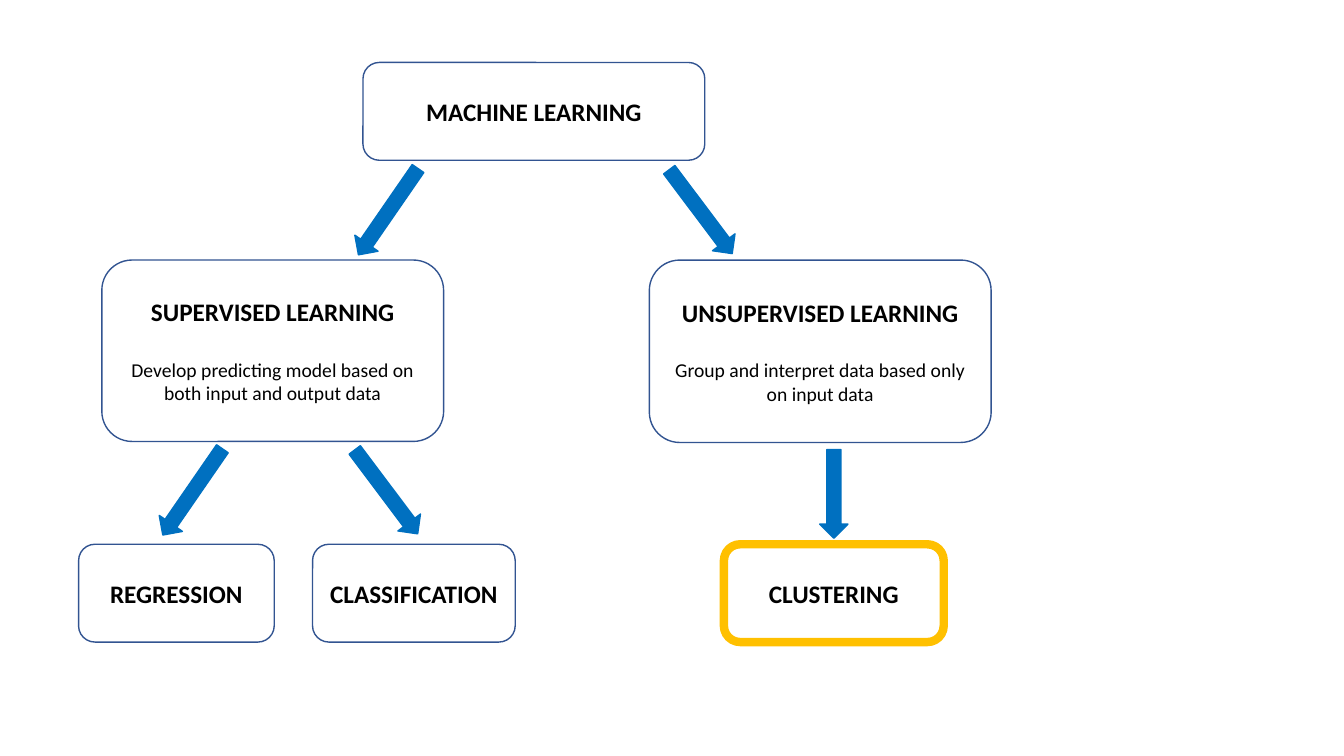
from dataclasses import dataclass

from pptx import Presentation
from pptx import util as u
from pptx.dml.color import RGBColor
from pptx.enum import shapes, text

PX = 9144  # EMU per px, 100 px to the inch


@dataclass(frozen=True)
class Theme:
    font: str = "Calibri"
    ink: str = "000000"
    edge: str = "325491"
    arrow: str = "0070C0"
    mark: str = "FFC000"
    head: int = 18
    body: int = 14
    gap: int = 22
    thin: int = 1
    thick: int = 6


def put(obj, vals):
    for name, val in vals.items():
        setattr(obj, name, val)


class Chart:
    def __init__(self, deck, theme):
        self.theme = theme
        self.slide = deck.slides.add_slide(deck.slide_layouts[6])

    def shape(self, kind, area, color, width):
        item = self.slide.shapes.add_shape(kind, *(n * PX for n in area))
        item.shadow.inherit = False
        item.line.color.rgb = RGBColor.from_string(color)
        item.line.width = u.Pt(width)
        return item

    def label(self, par, words, size, bold):
        par.alignment = text.PP_ALIGN.CENTER
        run = par.add_run()
        run.text = words
        put(run.font, {"name": self.theme.font, "size": u.Pt(size), "bold": bold})
        run.font.color.rgb = RGBColor.from_string(self.theme.ink)

    def box(self, area, title, note=None, marked=False):
        t = self.theme
        edge, width = (t.mark, t.thick) if marked else (t.edge, t.thin)
        item = self.shape(shapes.MSO_SHAPE.ROUNDED_RECTANGLE, area, edge, width)
        item.fill.background()
        frame = item.text_frame
        put(frame, {"word_wrap": True, "vertical_anchor": text.MSO_ANCHOR.MIDDLE})
        self.label(frame.paragraphs[0], title, t.head, True)
        if note:
            par = frame.add_paragraph()
            par.space_before = u.Pt(t.gap)
            self.label(par, note, t.body, False)

    def arrow(self, left, top, turn, length=104):
        """Draw a block arrow, given its place before it is turned."""
        color = self.theme.arrow
        area = (left, top, length, 28)
        item = self.shape(shapes.MSO_SHAPE.RIGHT_ARROW, area, color, self.theme.thin)
        item.fill.solid()
        item.fill.fore_color.rgb = RGBColor.from_string(color)
        item.rotation = turn


def main():
    deck = Presentation()
    put(deck, {"slide_width": 1333 * PX, "slide_height": 750 * PX})
    tree = Chart(deck, Theme())

    wide, low = 339, 97
    tree.box((360, 62, wide, low), "MACHINE LEARNING")
    tree.box((101, 258, wide, 180), "SUPERVISED LEARNING",
             "Develop predicting model based on both input and output data")
    tree.box((644, 258, wide, 181), "UNSUPERVISED LEARNING",
             "Group and interpret data based only on input data")

    leaves = [(78, 194, "REGRESSION"), (310, 201, "CLASSIFICATION"),
              (718, 218, "CLUSTERING")]
    for left, width, name in leaves:
        tree.box((left, 540, width, low), name, marked=name == "CLUSTERING")

    for top, lefts in ((196, (333, 643)), (474, (139, 331))):
        for left, turn in zip(lefts, (124.6, 53.1)):
            tree.arrow(left, top, turn)
    tree.arrow(783, 476, 90, 88)

    deck.save("out.pptx")


if __name__ == "__main__":
    main()
